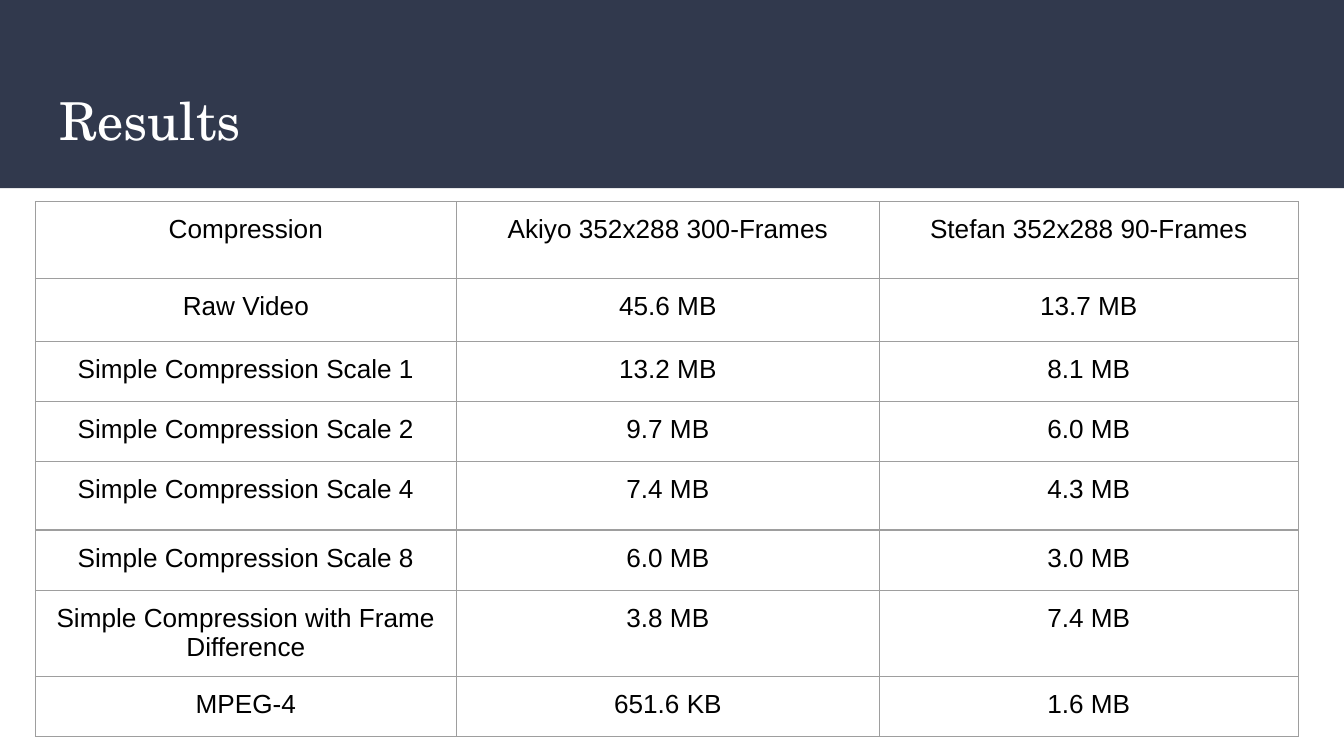
from dataclasses import dataclass

from lxml import etree
from pptx import Presentation
from pptx.dml.color import RGBColor
from pptx.enum import shapes, text
from pptx.oxml import ns
from pptx.util import Pt


@dataclass(frozen=True)
class Theme:
    navy: str = "31394D"
    white: str = "FFFFFF"
    ink: str = "000000"
    rule: str = "9E9E9E"
    title_font: str = "TeX Gyre Schola"
    body_font: str = "Arial"
    title_size: float = 28
    body_size: float = 14
    rule_width: float = 0.75
    inset: float = 7.2


THEME = Theme()
WIDTH, HEIGHT = 720, 405
BAND = (0, 0, WIDTH, 100.8)
TABLE = (18.95, 108, 676.5, 273.6)
COLUMN_WIDTHS = (225.5, 226.7, 224.3)
ROW_HEIGHTS = (41.1, 33.7, 32.2, 32.2, 36.9, 32.2, 46.2, 32.2)
RESULTS = (
    ("Compression", "Akiyo 352x288 300-Frames", "Stefan 352x288 90-Frames"),
    ("Raw Video", "45.6 MB", "13.7 MB"),
    ("Simple Compression Scale 1", "13.2 MB", "8.1 MB"),
    ("Simple Compression Scale 2", "9.7 MB", "6.0 MB"),
    ("Simple Compression Scale 4", "7.4 MB", "4.3 MB"),
    ("Simple Compression Scale 8", "6.0 MB", "3.0 MB"),
    ("Simple Compression with Frame Difference", "3.8 MB", "7.4 MB"),
    ("MPEG-4", "651.6 KB", "1.6 MB"),
)


def color(value):
    return RGBColor.from_string(value)


def style_font(font, name, size, value):
    font.name, font.size = name, Pt(size)
    font.color.rgb = color(value)


def set_margins(target):
    for side in ("left", "top", "right", "bottom"):
        setattr(target, f"margin_{side}", Pt(THEME.inset))


def add_header(s, box, title):
    x, y, w, h = box
    band = s.shapes.add_shape(shapes.MSO_SHAPE.RECTANGLE, *map(Pt, box))
    band.shadow.inherit = False
    band.fill.solid()
    band.fill.fore_color.rgb = color(THEME.navy)
    band.line.fill.background()
    s.shapes._spTree.insert(2, band._element)  # behind the title

    sp = s.shapes.title
    sp.left, sp.top = Pt(x + 24.5), Pt(y + 39.6)
    sp.width, sp.height = Pt(w - 49), Pt(h - 51.8)
    tf = sp.text_frame
    tf.text = title
    tf.word_wrap = True
    tf.auto_size = text.MSO_AUTO_SIZE.NONE
    tf.vertical_anchor = text.MSO_ANCHOR.MIDDLE
    set_margins(tf)
    p = tf.paragraphs[0]
    p.alignment = text.PP_ALIGN.LEFT
    style_font(p.runs[0].font, THEME.title_font, THEME.title_size, THEME.white)


def add_borders(cell):
    props = cell._tc.get_or_add_tcPr()
    for i, side in enumerate(("lnL", "lnR", "lnT", "lnB")):
        line = etree.Element(ns.qn(f"a:{side}"), w=str(Pt(THEME.rule_width)))
        fill = etree.SubElement(line, ns.qn("a:solidFill"))
        etree.SubElement(fill, ns.qn("a:srgbClr"), val=THEME.rule)
        props.insert(i, line)


def add_results_table(s, box, rows):
    table = s.shapes.add_table(len(rows), len(rows[0]), *map(Pt, box)).table
    table.first_row = table.horz_banding = False
    for column, width in zip(table.columns, COLUMN_WIDTHS):
        column.width = Pt(width)
    for row, height, values in zip(table.rows, ROW_HEIGHTS, rows):
        row.height = Pt(height)
        for cell, value in zip(row.cells, values):
            cell.text = value
            cell.fill.background()
            set_margins(cell)
            add_borders(cell)
            p = cell.text_frame.paragraphs[0]
            p.alignment = text.PP_ALIGN.CENTER
            style_font(p.runs[0].font, THEME.body_font, THEME.body_size, THEME.ink)


def main():
    prs = Presentation()
    prs.slide_width, prs.slide_height = Pt(WIDTH), Pt(HEIGHT)
    s = prs.slides.add_slide(prs.slide_layouts.get_by_name("Title Only"))
    s.background.fill.solid()
    s.background.fill.fore_color.rgb = color(THEME.white)
    add_header(s, BAND, "Results")
    add_results_table(s, TABLE, RESULTS)
    prs.save("out.pptx")


if __name__ == "__main__":
    main()
